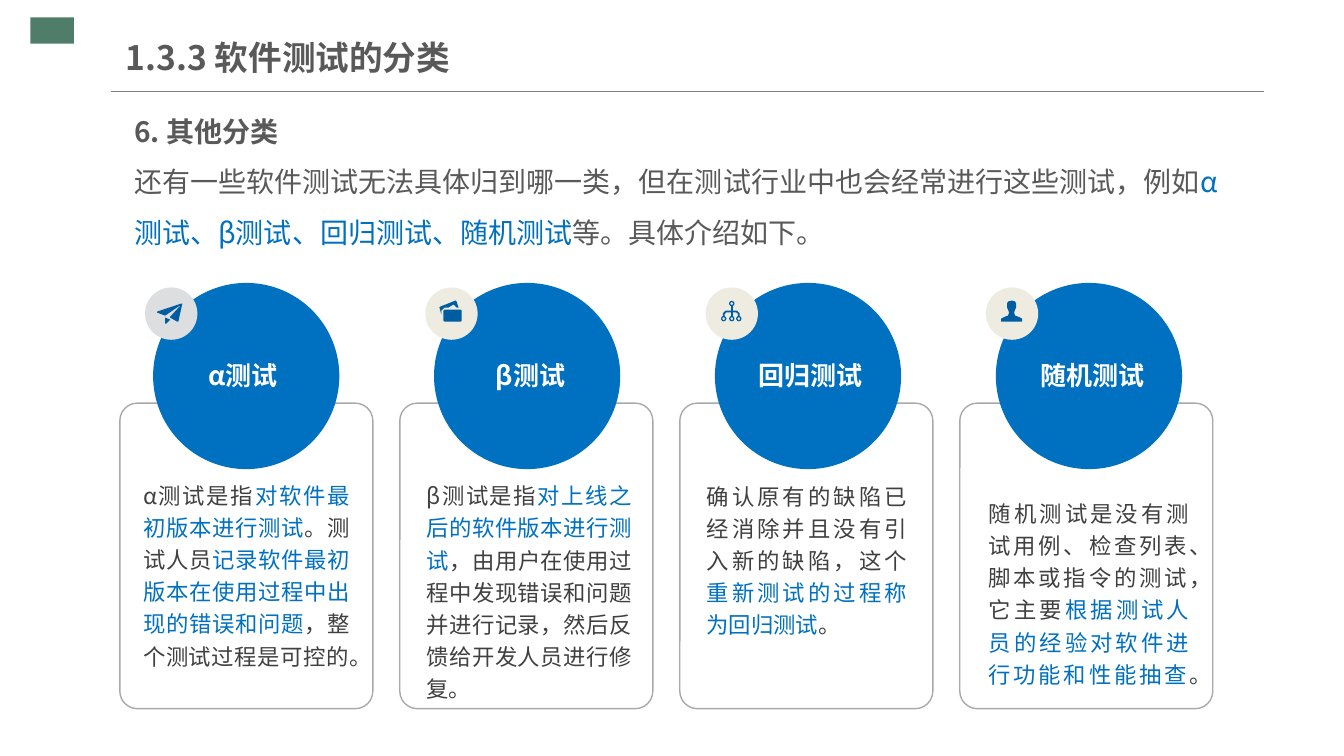
"""Builds the slide on other categories of software testing."""
from lxml.etree import SubElement
from pptx import Presentation
from pptx.dml.color import RGBColor
from pptx.enum.shapes import MSO_CONNECTOR as LINE, MSO_SHAPE as SHAPE
from pptx.enum.text import MSO_ANCHOR as ANCHOR, PP_ALIGN as ALIGN
from pptx.oxml.ns import qn
from pptx.util import Pt

FONT = "Noto Sans CJK SC"
BLUE, NAVY, GREY, DARK = "0070C0", "005DA2", "595959", "404040"
WHITE, CREAM, SILVER = "FFFFFF", "EEECE1", "DCDEE0"

TITLE = "1.3.3 软件测试的分类"
INTRO = [
    [("6. 其他分类", GREY, True)],
    [("还有一些软件测试无法具体归到哪一类，但在测试行业中也会经常进行这些测试，例如", GREY, False),
     ("α测试、β测试、回归测试、随机测试", BLUE, False),
     ("等。具体介绍如下。", GREY, False)],
]

PLANE = [
    [(36, 16), (12, 24), (12, 25), (20, 28), (36, 17), (25, 29), (25, 30), (32, 34), (33, 34), (37, 16)],
    [(20, 30), (20, 36), (21, 36), (25, 32)],
]
PHOTOS = [
    [(33, 20), (31, 14), (30, 13), (15, 19), (14, 20), (16, 27), (16, 23), (19, 20), (23, 20), (28, 17),
     (31, 20)],
    [(19, 22), (35, 22), (36, 23), (36, 33), (35, 34), (19, 34), (18, 33), (18, 23)],
]
PERSON = [
    [(26, 13), (29, 14), (30, 16), (30, 20), (29, 22), (28, 25), (29, 28), (32, 29), (36, 31), (36, 34),
     (15, 34), (15, 31), (19, 29), (22, 28), (23, 25), (22, 22), (21, 20), (21, 16), (22, 14)],
]
TREE_BRANCHES = [
    [(26, 18), (26, 29)],
    [(18, 29), (18, 26), (20, 24), (31, 24), (33, 26), (33, 29)],
]
TREE_NODES = [(26, 16), (18, 31), (26, 31), (33, 31)]

TESTS = [
    {"name": "α测试", "name_center": 173.5, "badge": SILVER, "icon": PLANE,
     "text_box": (102.2, 409.3, 147.6),
     "text": [("α测试是指", DARK), ("对软件最初版本进行测试", BLUE), ("。测试人员", DARK),
              ("记录软件最初版本在使用过程中出现的错误和问题", BLUE),
              ("，整个测试过程是可控的。", DARK)]},
    {"name": "β测试", "name_center": 379, "badge": CREAM, "icon": PHOTOS,
     "text_box": (304.6, 421.2, 146.9),
     "text": [("β测试是指", DARK), ("对上线之后的软件版本进行测试", BLUE),
              ("，由用户在使用过程中发现错误和问题并进行记录，然后反馈给开发人员进行修复。", DARK)]},
    {"name": "回归测试", "name_center": 579.2, "badge": CREAM, "icon": None,
     "text_box": (504.7, 398.5, 143.3),
     "text": [("确认原有的缺陷已经消除并且没有引入新的缺陷，这个", DARK),
              ("重新测试的过程称为回归测试", BLUE), ("。", DARK)]},
    {"name": "随机测试", "name_center": 780.2, "badge": CREAM, "icon": PERSON,
     "text_box": (706.3, 422.3, 143.3),
     "text": [("随机测试是没有测试用例、检查列表、脚本或指令的测试，它主要", DARK),
              ("根据测试人员的经验对软件进行功能和性能抽查", BLUE), ("。", DARK)]},
]

CARD_LEFT, CARD_STEP = 85.6, 200
DISC_LEFT, DISC_STEP = 109.4, 200.65
BADGE_LEFT, BADGE_STEP = 103.6, 200.2
BADGE_TOP, ICON_UNIT = 205.3, 0.72

deck = Presentation()
deck.slide_width, deck.slide_height = Pt(960), Pt(540)
slide = deck.slides.add_slide(deck.slide_layouts[6])
shapes = slide.shapes


def color(hex_code):
    return RGBColor.from_string(hex_code)


def paint(item, fill=None, line=None, weight=1):
    item.shadow.inherit = False
    if fill:
        item.fill.solid()
        item.fill.fore_color.rgb = color(fill)
    else:
        item.fill.background()
    if line:
        item.line.color.rgb = color(line)
        item.line.width = Pt(weight)
    else:
        item.line.fill.background()


def add_figure(kind, box, **style):
    figure = shapes.add_shape(kind, *map(Pt, box))
    paint(figure, **style)
    return figure


def add_outline(points, left, top, closed=True, **style):
    builder = shapes.build_freeform(*points[0], scale=Pt(ICON_UNIT))
    builder.add_line_segments(points[1:], close=closed)
    paint(builder.convert_to_shape(Pt(left), Pt(top)), **style)


def add_text(box, paragraphs, size, anchor=ANCHOR.MIDDLE, align=ALIGN.LEFT, spacing=1):
    frame = shapes.add_textbox(*map(Pt, box)).text_frame
    frame.word_wrap = True
    frame.vertical_anchor = anchor
    frame.margin_left = frame.margin_right = frame.margin_top = frame.margin_bottom = 0
    for index, runs in enumerate(paragraphs):
        paragraph = frame.add_paragraph() if index else frame.paragraphs[0]
        paragraph.alignment = align
        paragraph.line_spacing = spacing
        for words, ink, bold in runs:
            run = paragraph.add_run()
            run.text = words
            run.font.size, run.font.bold, run.font.name = Pt(size), bold, FONT
            run.font.color.rgb = color(ink)
            SubElement(run._r.get_or_add_rPr(), qn("a:ea")).set("typeface", FONT)


def add_tree(left, top):
    for branch in TREE_BRANCHES:
        add_outline(branch, left, top, closed=False, line=NAVY, weight=1.25)
    for x, y in TREE_NODES:
        node = (left + (x - 2) * ICON_UNIT, top + (y - 2) * ICON_UNIT, 4 * ICON_UNIT, 4 * ICON_UNIT)
        add_figure(SHAPE.OVAL, node, line=NAVY, weight=0.9)


add_figure(SHAPE.RECTANGLE, (21.8, 12.4, 31, 18.8), fill="4F7D6A")
divider = shapes.add_connector(LINE.STRAIGHT, Pt(79.4), Pt(65.6), Pt(903), Pt(65.6))
divider.line.color.rgb = color("808080")
divider.line.width = Pt(0.75)
SubElement(divider._element.spPr, qn("a:effectLst"))
add_text((90, 20.9, 307, 39.6), [[(TITLE, GREY, True)]], 24)
add_text((95.8, 69.8, 777.6, 109.4), INTRO, 20, anchor=ANCHOR.TOP, spacing=1.5)

for column, test in enumerate(TESTS):
    card = add_figure(SHAPE.ROUNDED_RECTANGLE, (CARD_LEFT + column * CARD_STEP, 288, 180.7, 218.2),
                      line="A6AAA9")
    card.adjustments[0] = 0.069
    add_figure(SHAPE.OVAL, (DISC_LEFT + column * DISC_STEP, 202.1, 133, 133), fill=BLUE)

    badge_left = BADGE_LEFT + column * BADGE_STEP
    add_figure(SHAPE.OVAL, (badge_left, BADGE_TOP, 37.4, 37.4), fill=test["badge"])
    if test["icon"]:
        for outline in test["icon"]:
            add_outline(outline, badge_left, BADGE_TOP, fill=NAVY)
    else:
        add_tree(badge_left, BADGE_TOP)

    add_text((test["name_center"] - 62, 245.5, 124, 45.4), [[(test["name"], WHITE, True)]], 18.6,
             align=ALIGN.CENTER)
    left, middle, width = test["text_box"]
    add_text((left, middle - 50, width, 100), [[(words, ink, False) for words, ink in test["text"]]], 16,
             align=ALIGN.JUSTIFY, spacing=1.2)

deck.save("out.pptx")
